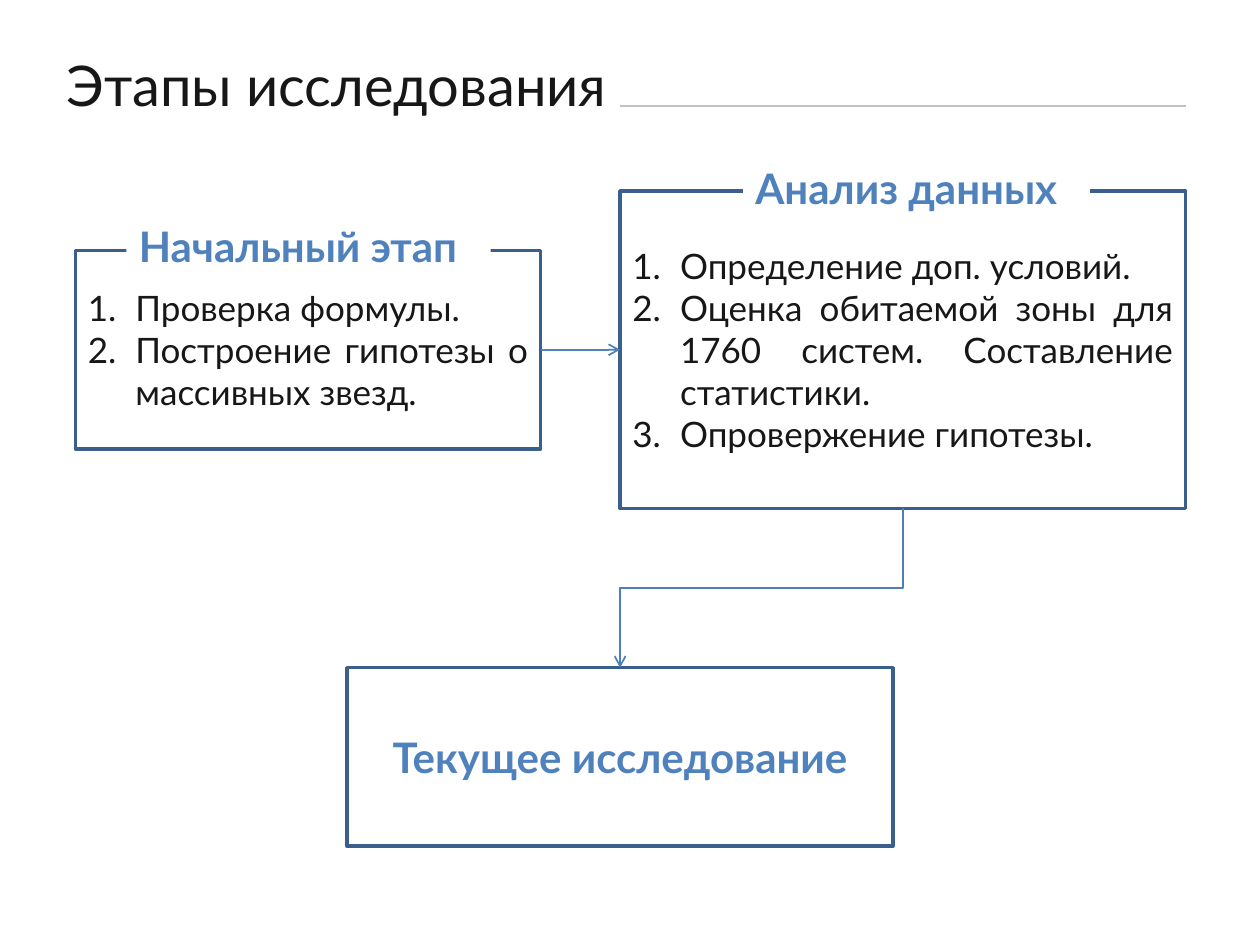
from dataclasses import dataclass

from lxml import etree
from pptx import Presentation
from pptx.dml.color import RGBColor
from pptx.enum.shapes import MSO_CONNECTOR, MSO_SHAPE
from pptx.enum.text import MSO_ANCHOR, PP_ALIGN
from pptx.oxml.ns import qn
from pptx.util import Cm, Pt

RECTANGLE = MSO_SHAPE.RECTANGLE
STRAIGHT, ELBOW = MSO_CONNECTOR.STRAIGHT, MSO_CONNECTOR.ELBOW
MIDDLE, TOP = MSO_ANCHOR.MIDDLE, MSO_ANCHOR.TOP
LEFT, CENTER, JUSTIFY = PP_ALIGN.LEFT, PP_ALIGN.CENTER, PP_ALIGN.JUSTIFY
RIGHT_SIDE, LEFT_SIDE = 3, 1


@dataclass(frozen=True)
class Theme:
    """Colours, font and type sizes of the slide."""
    font: str = "Lato"
    text: RGBColor = RGBColor(0x17, 0x17, 0x17)
    accent: RGBColor = RGBColor(0x4F, 0x81, 0xBD)
    elbow: RGBColor = RGBColor(0x4B, 0x7E, 0xBC)
    border: RGBColor = RGBColor(0x3A, 0x5F, 0x8C)
    rule: RGBColor = RGBColor(0xC4, 0xC0, 0xC1)
    paper: RGBColor = RGBColor(0xFF, 0xFF, 0xFF)
    title_size: Pt = Pt(32)
    heading_size: Pt = Pt(24)
    body_size: Pt = Pt(20)


THEME = Theme()


def write(shape, lines, size, color, align=LEFT, anchor=MIDDLE, bold=False):
    """Fill a shape with one paragraph per line and return the paragraphs."""
    frame = shape.text_frame
    frame.word_wrap = True
    frame.vertical_anchor = anchor
    frame.text = "\n".join(lines)
    for paragraph in frame.paragraphs:
        paragraph.alignment = align
        font = paragraph.font
        font.name, font.size, font.bold = THEME.font, size, bold
        font.color.rgb = color
    return frame.paragraphs


def add_title(slide, text):
    """Add the slide title."""
    title = slide.shapes.add_textbox(Cm(1.09), Cm(0.1), Cm(24.31), Cm(3.18))
    write(title, [text], THEME.title_size, THEME.text)


def add_box(slide, left, top, width, height):
    """Add a bordered stage box."""
    box = slide.shapes.add_shape(RECTANGLE, Cm(left), Cm(top), Cm(width), Cm(height))
    box.shadow.inherit = False
    box.fill.solid()
    box.fill.fore_color.rgb = THEME.paper
    box.line.color.rgb = THEME.border
    box.line.width = Pt(2)
    return box


def write_steps(box, steps):
    """Write the numbered steps of a stage."""
    for paragraph in write(box, steps, THEME.body_size, THEME.text, JUSTIFY):
        properties = paragraph._p.get_or_add_pPr()
        properties.set("marL", str(Cm(0.96)))
        properties.set("indent", str(-Cm(0.96)))
        numbering = etree.Element(qn("a:buAutoNum"), type="arabicPeriod")
        properties.find(qn("a:defRPr")).addprevious(numbering)


def add_caption(slide, text, left, top, width):
    """Add a stage name that interrupts the top border of its box."""
    caption = slide.shapes.add_textbox(Cm(left), Cm(top), Cm(width), Cm(1.27))
    caption.fill.solid()
    caption.fill.fore_color.rgb = THEME.paper
    write(caption, [text], THEME.heading_size, THEME.accent, anchor=TOP, bold=True)


def add_line(slide, kind, start, end, color, arrow=True):
    """Add a one-point connector, with an open arrowhead if wanted."""
    points = [Cm(value) for value in (*start, *end)]
    connector = slide.shapes.add_connector(kind, *points)
    connector.line.color.rgb = color
    connector.line.width = Pt(1)
    if arrow:
        line = connector.line._get_or_add_ln()
        etree.SubElement(line, qn("a:tailEnd"), type="arrow")
    etree.SubElement(connector._element.spPr, qn("a:effectLst"))
    return connector


def add_downward_elbow(slide, start, end):
    """Add an elbow arrow that leaves downwards and turns left."""
    center_x, center_y = (start[0] + end[0]) / 2, (start[1] + end[1]) / 2
    half_drop, half_shift = (end[1] - start[1]) / 2, (start[0] - end[0]) / 2
    connector = add_line(
        slide, ELBOW,
        (center_x - half_drop, center_y - half_shift),
        (center_x + half_drop, center_y + half_shift), THEME.elbow)
    connector.rotation = 90


def main():
    """Build and save the slide."""
    presentation = Presentation()
    presentation.slide_width, presentation.slide_height = Cm(25.4), Cm(19.05)
    slide = presentation.slides.add_slide(presentation.slide_layouts[6])

    add_title(slide, "Этапы исследования")
    add_line(slide, STRAIGHT, (12.5, 2.13), (23.9, 2.13), THEME.rule, arrow=False)

    initial = add_box(slide, 1.52, 5.05, 9.38, 4)
    write_steps(initial, ["Проверка формулы.", "Построение гипотезы о массивных звезд."])
    analysis = add_box(slide, 12.5, 3.85, 11.4, 6.4)
    write_steps(analysis, [
        "Определение доп. условий.",
        "Оценка обитаемой зоны для 1760 систем. Составление статистики.",
        "Опровержение гипотезы.",
    ])
    current = add_box(slide, 7, 13.46, 11, 3.6)
    write(current, ["Текущее исследование"], THEME.heading_size, THEME.accent,
          CENTER, bold=True)

    arrow = add_line(slide, STRAIGHT, (10.9, 7.05), (12.5, 7.05), THEME.accent)
    arrow.begin_connect(initial, RIGHT_SIDE)
    arrow.end_connect(analysis, LEFT_SIDE)
    add_downward_elbow(slide, (18.2, 10.25), (12.5, 13.46))

    add_caption(slide, "Начальный этап", 2.55, 4.32, 7.34)
    add_caption(slide, "Анализ данных", 14.98, 3.15, 6.99)
    presentation.save("out.pptx")


if __name__ == "__main__":
    main()
